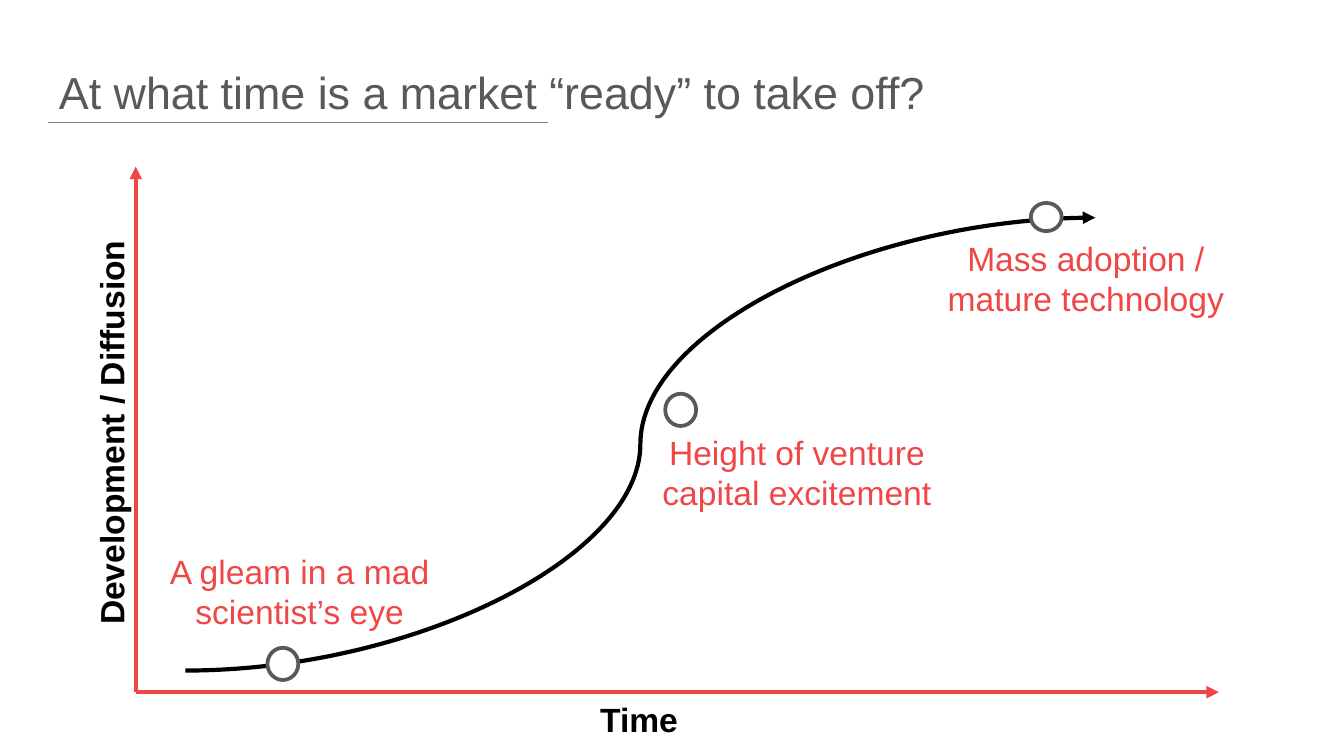
from pptx import Presentation
from pptx.dml.color import RGBColor
from pptx.enum.shapes import MSO_CONNECTOR as Connector, MSO_SHAPE as Shape
from pptx.enum.text import MSO_ANCHOR as Anchor, PP_ALIGN as Align
from pptx.oxml.ns import qn
from pptx.util import Inches, Pt
from lxml.etree import SubElement

COLORS = {"red": "EF4747", "gray": "595959", "rule": "7F7F7F", "black": "000000", "white": "FFFFFF"}


def color(name):
    return RGBColor.from_string(COLORS[name])


def add_line(page, start, end, name, width=2.25, kind=Connector.STRAIGHT, arrow=True):
    points = [Inches(value) for value in (*start, *end)]
    line = page.shapes.add_connector(kind, *points)
    line.line.color.rgb = color(name)
    line.line.width = Pt(width)
    if arrow:
        SubElement(line.line._get_or_add_ln(), qn("a:tailEnd"), type="triangle")
    SubElement(line._element.spPr, qn("a:effectLst"))


def add_marker(page, left, top, height=0.24):
    marker = page.shapes.add_shape(
        Shape.OVAL, Inches(left), Inches(top), Inches(0.23), Inches(height))
    marker.shadow.inherit = False
    marker.fill.solid()
    marker.fill.fore_color.rgb = color("white")
    marker.line.color.rgb = color("gray")
    marker.line.width = Pt(2)


def add_text(page, text, area, name, size=18, bold=False, align=Align.CENTER, anchor=Anchor.MIDDLE):
    box = page.shapes.add_textbox(*[Inches(value) for value in area])
    frame = box.text_frame
    frame.word_wrap = True
    frame.vertical_anchor = anchor
    para = frame.paragraphs[0]
    para.alignment = align
    span = para.add_run()
    span.text = text
    span.font.name = "Arial"
    span.font.size = Pt(size)
    span.font.bold = bold
    span.font.color.rgb = color(name)
    return box


def add_title(page, text):
    box = add_text(page, text, (0.34, 0.32, 8.78, 0.82), "gray", 24,
                   align=Align.LEFT, anchor=Anchor.TOP)
    box.text_frame.margin_top = box.text_frame.margin_bottom = Inches(0.1)
    box.text_frame.paragraphs[0].line_spacing = 1.15
    add_line(page, (0.36, 0.91), (4.08, 0.91), "rule", 0.75, arrow=False)


def add_axes(page):
    corner = (1.01, 5.15)
    for end in ((1.01, 1.24), (9.07, 5.15)):
        add_line(page, corner, end, "red")


def add_axis_names(page):
    vertical = add_text(page, "Development / Diffusion", (-0.9, 2.93, 3.45, 0.58), "black", bold=True)
    vertical.rotation = 270
    add_text(page, "Time", (3.03, 5.06, 3.45, 0.58), "black", bold=True)


def add_stages(page):
    stages = [
        ("Height of venture capital excitement", (4.61, 3.25), (4.95, 2.93, 0.24)),
        ("A gleam in a mad scientist’s eye", (0.91, 4.14), (1.99, 4.82, 0.24)),
        ("Mass adoption / mature technology", (6.76, 1.81), (7.67, 1.51, 0.21)),
    ]
    for text, position, marker in stages:
        add_marker(page, *marker)
        add_text(page, text, (*position, 2.64, 0.52), "red")


def main():
    deck = Presentation()
    deck.slide_width = Inches(10)
    deck.slide_height = deck.slide_width * 9 // 16
    page = deck.slides.add_slide(deck.slide_layouts[6])
    add_axes(page)
    add_line(page, (1.38, 4.99), (8.15, 1.62), "black", kind=Connector.CURVE)
    add_stages(page)
    add_axis_names(page)
    add_title(page, "At what time is a market “ready” to take off?")
    deck.save("out.pptx")


if __name__ == "__main__":
    main()
